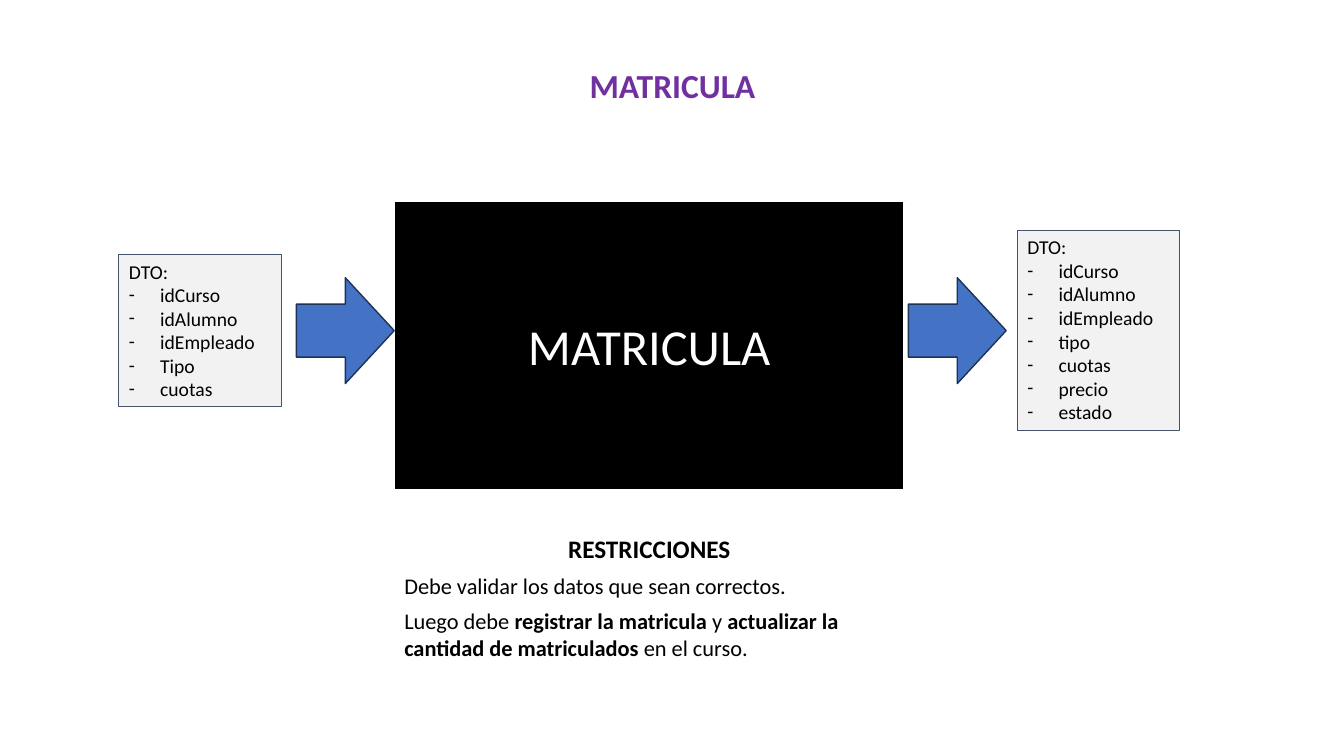
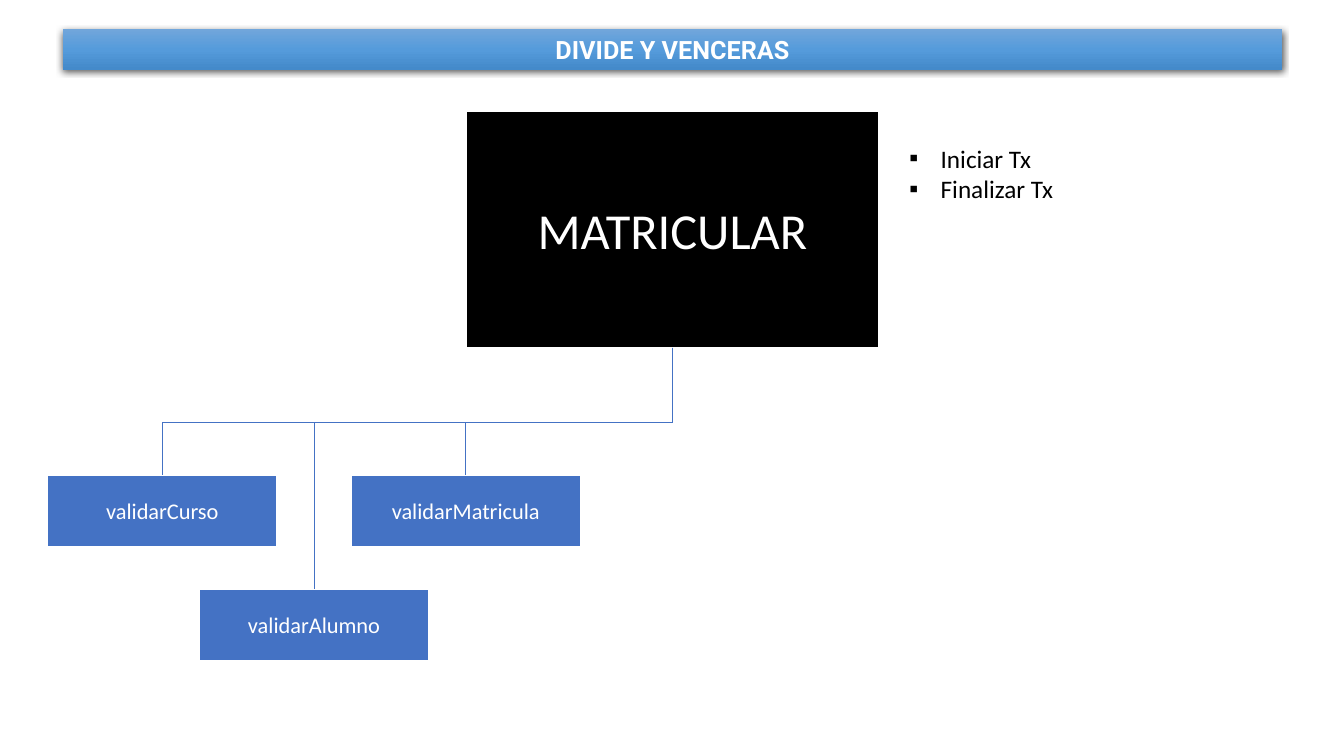
"""Build two slides: the MATRICULA black box and its breakdown into validations."""
import pptx
import pptx.util
import pptx.dml.color
import pptx.enum.shapes
import pptx.enum.text
import pptx.oxml
import pptx.oxml.ns

Inches, Pt = pptx.util.Inches, pptx.util.Pt
SHAPE = pptx.enum.shapes.MSO_SHAPE
ANCHOR = pptx.enum.text.MSO_ANCHOR
ALIGN = pptx.enum.text.PP_ALIGN
qn = pptx.oxml.ns.qn

FONT, TITLE_FONT = "Calibri", "Roboto"
BLACK, WHITE, PURPLE = "000000", "FFFFFF", "7030A0"
BLUE, NAVY, SLATE, PALE = "4472C4", "1E3256", "44546A", "F2F2F2"
BAND_STOPS = [(0, "71A6DB"), (50, "559BDB"), (100, "448ACA")]

FLOW_Y = 3.28
DTO_LINE, DTO_PAD, DTO_W = 0.24, 0.07, 1.61
ARROW_W, ARROW_H = 0.97, 1.05
ARROW_LEFTS = [2.94, 9.01]
DTOS = [
    (1.18, ["idCurso", "idAlumno", "idEmpleado", "Tipo", "cuotas"]),
    (10.09, ["idCurso", "idAlumno", "idEmpleado", "tipo", "cuotas", "precio", "estado"]),
]
RULES_HEADING = "RESTRICCIONES"
RULES = [
    [("Debe validar los datos que sean correctos.", False)],
    [("Luego debe ", False), ("registrar la matricula ", True), ("y ", False),
     ("actualizar la cantidad de matriculados", True), (" en el curso.", False)],
]
TX_STEPS = ["Iniciar Tx", "Finalizar Tx"]
CHECKS = [("validarCurso", 4.71), ("validarAlumno", 5.84), ("validarMatricula", 4.71)]
CHECK_LEFT, CHECK_STEP, CHECK_W, CHECK_H = 0.47, 1.505, 2.28, 0.72
BUS_DROP = 0.74


def rgb(code):
    return pptx.dml.color.RGBColor.from_string(code)


def xml(parent, tag, **attrs):
    child = pptx.oxml.parse_xml(f'<a:{tag} {pptx.oxml.ns.nsdecls("a")}/>')
    for name, value in attrs.items():
        child.set(name, str(value))
    parent.append(child)
    return child


def add_run(p, text, size, color=BLACK, bold=False, font=FONT):
    r = p.add_run()
    r.text = text
    r.font.size, r.font.bold, r.font.name = Pt(size), bold, font
    r.font.color.rgb = rgb(color)


def next_paragraph(tf, bullet=None, align=ALIGN.LEFT, gap=0):
    first = tf.paragraphs[0]
    fresh = not first.runs
    p = first if fresh else tf.add_paragraph()
    p.alignment = align
    p.space_before, p.space_after = Pt(0 if fresh else gap), Pt(gap)
    pPr = p._p.get_or_add_pPr()
    indent = Inches(0.31) if bullet else 0
    pPr.set("marL", str(indent))
    pPr.set("indent", str(-indent))
    if bullet:
        xml(pPr, "buFont", typeface=FONT)
        xml(pPr, "buChar", char=bullet)
    else:
        xml(pPr, "buNone")
    return p


def place(sp, left, top, width, height):
    sp.left, sp.top = Inches(left), Inches(top)
    sp.width, sp.height = Inches(width), Inches(height)
    tf = sp.text_frame
    tf.word_wrap = True
    tf.auto_size = pptx.enum.text.MSO_AUTO_SIZE.NONE
    tf.vertical_anchor = ANCHOR.TOP
    return tf


def add_title(slide, text, box, size, color, font=FONT):
    sp = slide.shapes.title
    p = next_paragraph(place(sp, *box), align=ALIGN.CENTER)
    add_run(p, text, size, color, True, font)
    return sp


def add_box(slide, box, fill, line, width, kind=SHAPE.RECTANGLE):
    sp = slide.shapes.add_shape(kind, *map(Inches, box))
    sp.shadow.inherit = False
    sp.fill.solid()
    sp.fill.fore_color.rgb = rgb(fill)
    sp.line.color.rgb = rgb(line)
    sp.line.width = Pt(width)
    return sp


def add_label_box(slide, text, box, fill, size):
    sp = add_box(slide, box, fill, WHITE, 1.5)
    tf = sp.text_frame
    tf.word_wrap = True
    tf.vertical_anchor = ANCHOR.MIDDLE
    add_run(next_paragraph(tf, align=ALIGN.CENTER), text, size, WHITE)
    return sp


def add_dto(slide, left, fields):
    height = DTO_LINE * (len(fields) + 1) + DTO_PAD
    box = (left, FLOW_Y - height / 2, DTO_W, height)
    tf = place(add_box(slide, box, PALE, SLATE, 0.75), *box)
    add_run(next_paragraph(tf), "DTO:", 14)
    for field in fields:
        add_run(next_paragraph(tf, "-"), field, 14)


def style_band(sp):
    spPr = sp._element.spPr
    grad = xml(spPr, "gradFill", rotWithShape=1)
    stops = xml(grad, "gsLst")
    for pos, color in BAND_STOPS:
        xml(xml(stops, "gs", pos=pos * 1000), "srgbClr", val=color)
    xml(grad, "lin", ang=5400000, scaled=0)
    shadow = xml(xml(spPr, "effectLst"), "outerShdw", blurRad=Pt(4.5), dist=Pt(1.5),
                 dir=5400000, algn="ctr", rotWithShape=0)
    xml(xml(shadow, "srgbClr", val=BLACK), "alpha", val=63000)


def join_down(slide, parent, child):
    x1, y1 = parent.left + parent.width // 2, parent.top + parent.height
    x2, y2 = child.left + child.width // 2, child.top
    cxn = slide.shapes.add_connector(
        pptx.enum.shapes.MSO_CONNECTOR.ELBOW, x1, y1, x2, y2)
    cxn.begin_connect(parent, 2)
    cxn.end_connect(child, 0)
    run, drop = x1 - x2, y2 - y1
    cxn.left, cxn.top = (x1 + x2 - drop) // 2, (y1 + y2 - run) // 2
    cxn.width, cxn.height = drop, run
    spPr = cxn._element.spPr
    xfrm = spPr.find(qn("a:xfrm"))
    xfrm.attrib.pop("flipH", None)
    xfrm.set("rot", "5400000")
    geom = spPr.find(qn("a:prstGeom"))
    guides = geom.find(qn("a:avLst"))
    if guides is None:
        guides = xml(geom, "avLst")
    bend = round(Inches(BUS_DROP) / drop * 100000)
    xml(guides, "gd", name="adj1", fmla=f"val {bend}")
    cxn.line.color.rgb = rgb(BLUE)
    cxn.line.width = Pt(0.5)
    xml(spPr, "effectLst")


def build_black_box(slide):
    add_title(slide, "MATRICULA", (0.68, 0.59, 11.98, 0.5), 24, PURPLE)
    add_label_box(slide, "MATRICULA", (3.91, 1.99, 5.06, 2.87), BLACK, 36)
    for left in ARROW_LEFTS:
        add_box(slide, (left, FLOW_Y - ARROW_H / 2, ARROW_W, ARROW_H),
                BLUE, NAVY, 1, SHAPE.RIGHT_ARROW)
    for left, fields in DTOS:
        add_dto(slide, left, fields)
    tf = place(slide.placeholders[1], 3.91, 5.24, 5.06, 1.38)
    add_run(next_paragraph(tf, align=ALIGN.CENTER, gap=3), RULES_HEADING, 18, bold=True)
    for rule in RULES:
        p = next_paragraph(tf, gap=3)
        for text, bold in rule:
            add_run(p, text, 16, bold=bold)


def build_breakdown(slide):
    style_band(add_title(slide, "DIVIDE Y VENCERAS", (0.62, 0.29, 12.1, 0.4),
                         18, WHITE, TITLE_FONT))
    root = add_label_box(slide, "MATRICULAR", (4.62, 1.1, 4.1, 2.35), BLACK, 36)
    tf = place(slide.placeholders[1], 8.92, 1.37, 2.7, 0.71)
    for step in TX_STEPS:
        add_run(next_paragraph(tf, "▪"), step, 18)
    for i, (name, top) in enumerate(CHECKS):
        box = (CHECK_LEFT + i * CHECK_STEP, top, CHECK_W, CHECK_H)
        join_down(slide, root, add_label_box(slide, name, box, BLUE, 16))


def main():
    prs = pptx.Presentation()
    prs.slide_width, prs.slide_height = Inches(13.33), Inches(7.5)
    for build in (build_black_box, build_breakdown):
        build(prs.slides.add_slide(prs.slide_layouts[1]))
    prs.save("out.pptx")


if __name__ == "__main__":
    main()
